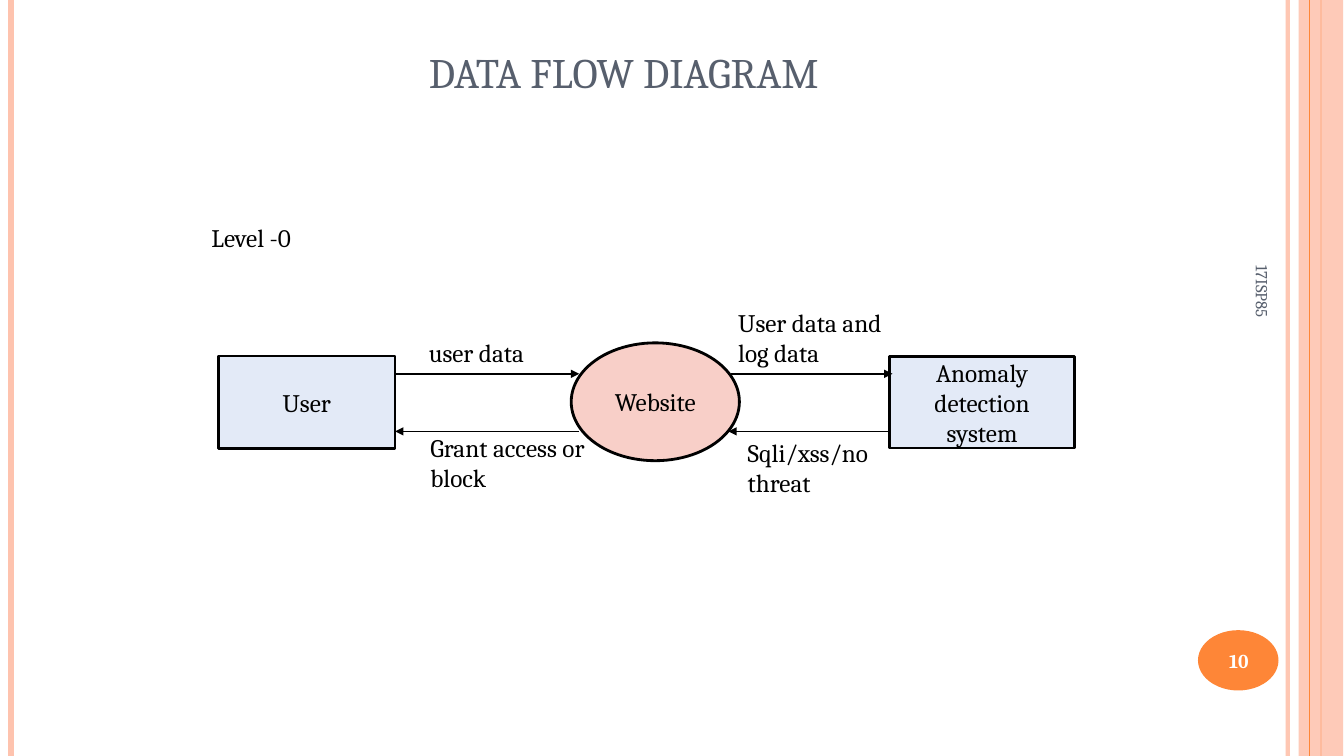
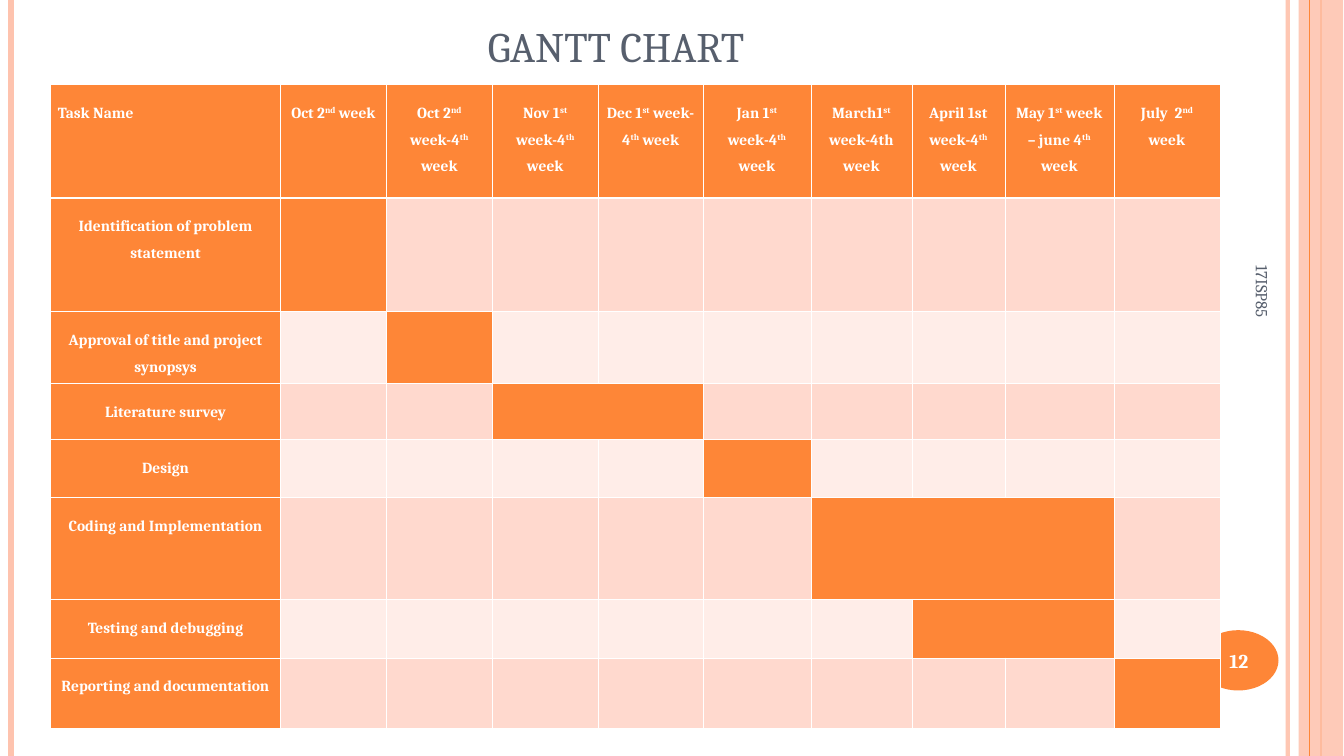
from lxml.etree import SubElement
from pptx import Presentation
from pptx.dml.color import RGBColor
from pptx.enum.shapes import MSO_CONNECTOR, MSO_SHAPE
from pptx.enum.text import MSO_ANCHOR, PP_ALIGN
from pptx.oxml import parse_xml
from pptx.oxml.ns import nsdecls, qn
from pptx.util import Cm, Pt

LINE = MSO_CONNECTOR.STRAIGHT
RECT, OVAL = MSO_SHAPE.RECTANGLE, MSO_SHAPE.OVAL
TOP, MID, LOW = MSO_ANCHOR.TOP, MSO_ANCHOR.MIDDLE, MSO_ANCHOR.BOTTOM
LEFT, MIDST = PP_ALIGN.LEFT, PP_ALIGN.CENTER


class Theme:
    font = "Cambria"
    slate = RGBColor.from_string("575F6D")
    black = RGBColor.from_string("000000")
    white = RGBColor.from_string("FFFFFF")
    orange = RGBColor.from_string("FE8637")
    peach = RGBColor.from_string("FEC3AE")
    blue = RGBColor.from_string("E3EAF7")
    rose = RGBColor.from_string("F8CFC8")
    bands = RGBColor.from_string("FFD9CE"), RGBColor.from_string("FFEDE8")
    title, body, page, foot, cell = 30, 18, 14, 12, 11


def write(frame, text, size, color, align=LEFT, anchor=TOP, bold=False):
    frame.word_wrap = True
    frame.vertical_anchor = anchor
    para = frame.paragraphs[0]
    para.alignment = align
    parts = text.split("^")
    para.text = parts[0]
    for part in parts[1:]:
        para.add_run().text = part
    for i, run in enumerate(para.runs):
        run.font.name = Theme.font
        run.font.size = Pt(size)
        run.font.color.rgb = color
        run.font.bold = bold
        if i % 2:
            run.font._element.set("baseline", "30000")
    return para


def draw(shapes, x1, y1, x2, y2, color, width):
    line = shapes.add_connector(LINE, Cm(x1), Cm(y1), Cm(x2), Cm(y2))
    line.line.color.rgb = color
    line.line.width = Pt(width)
    SubElement(line.element.spPr, qn("a:effectLst"))
    return line.element.spPr


deck = Presentation()
deck.slide_width, deck.slide_height = Cm(33.88), Cm(19.05)

pages = []
for title, page, x, y in (
    ("DATA FLOW DIAGRAM", "10", 1.9, 0.79),
    ("GANTT CHART", "12", 1.7, 0.13),
):
    shapes = deck.slides.add_slide(deck.slide_layouts[6]).shapes
    pages.append(shapes)
    edge = draw(shapes, 32.46, 0, 32.46, 19.05, Theme.peach, 3)
    draw(shapes, 0.28, 0, 0.28, 19.05, Theme.peach, 4.5)
    draw(shapes, 33.3, 0, 33.3, 19.05, Theme.orange, 1.5)
    band = shapes.add_shape(RECT, Cm(32.74), 0, Cm(1.12), Cm(19.05))
    draw(shapes, 33.02, 0, 33.02, 19.05, Theme.orange, 0.75)
    disc = shapes.add_shape(OVAL, Cm(30.2), Cm(15.88), Cm(2.03), Cm(1.52))
    for shape, color in ((band, Theme.peach), (disc, Theme.orange)):
        shape.shadow.inherit = False
        shape.fill.solid()
        shape.fill.fore_color.rgb = color
        shape.line.fill.background()
    for part, alpha in ((edge, "93000"), (band.element.spPr, "87000")):
        tint = part.find(".//" + qn("a:srgbClr"))
        SubElement(tint, qn("a:alpha")).set("val", alpha)
    head = shapes.add_textbox(Cm(x), Cm(y), Cm(27.66), Cm(1.78))
    write(head.text_frame, title, Theme.title, Theme.slate, MIDST, LOW)
    num = shapes.add_textbox(Cm(30.1), Cm(15.93), Cm(2.26), Cm(1.45))
    write(num.text_frame, page, Theme.page, Theme.white, MIDST, MID, True)
    foot = shapes.add_textbox(Cm(27.38), Cm(10.21), Cm(8.89), Cm(1.35))
    foot.rotation = 90
    write(foot.text_frame, "17ISP85", Theme.foot, Theme.slate, LEFT, MID)

flow, gantt = pages

for form, text, x, y, w, h, color in (
    (RECT, "User", 5.51, 8.97, 4.45, 2.34, Theme.blue),
    (OVAL, "Website", 14.4, 8.64, 4.24, 2.97, Theme.rose),
    (RECT, "Anomaly detection system", 22.43, 8.98, 4.65, 2.31, Theme.blue),
):
    node = flow.add_shape(form, Cm(x), Cm(y), Cm(w), Cm(h))
    node.shadow.inherit = False
    node.fill.solid()
    node.fill.fore_color.rgb = color
    node.line.color.rgb = Theme.black
    node.line.width = Pt(2)
    write(node.text_frame, text, Theme.body, Theme.black, MIDST, MID)

for start, end, y in (
    (9.96, 14.6, 9.42),
    (14.6, 9.96, 10.87),
    (18.42, 22.5, 9.42),
    (22.43, 18.36, 10.87),
):
    arrow = draw(flow, start, y, end, y, Theme.black, 1)
    SubElement(arrow.find(qn("a:ln")), qn("a:tailEnd")).set("type", "triangle")

for text, x, y, w, h in (
    ("Level -0", 5.08, 5.49, 16.94, 1.02),
    ("user data", 10.56, 8.38, 3.8, 1.02),
    ("Grant access or block", 10.6, 10.77, 4.45, 1.78),
    ("User data and log data", 18.36, 7.62, 4.45, 1.78),
    ("Sqli/xss/no threat", 18.6, 10.9, 3.86, 1.78),
):
    label = flow.add_textbox(Cm(x), Cm(y), Cm(w), Cm(h))
    write(label.text_frame, text, Theme.body, Theme.black)

heads = (
    "Task Name", "Oct 2^nd^ week", "Oct 2^nd^ week-4^th^ week",
    "Nov 1^st^ week-4^th^ week", "Dec 1^st^ week- 4^th^ week",
    "Jan 1^st^ week-4^th^ week", "March1^st^ week-4th week",
    "April 1st week-4^th^ week", "May 1^st^ week – june 4^th^ week",
    "July  2^nd^ week",
)
tasks = (
    ("Identification of problem statement", 1, 1),
    ("Approval of title and project synopsys", 2, 2),
    ("Literature survey", 3, 4),
    ("Design", 5, 5),
    ("Coding and Implementation", 6, 8),
    ("Testing and debugging", 7, 8),
    ("Reporting and documentation", 9, 9),
)
wide = 5.79, 2.67, 2.67, 2.67, 2.64, 2.72, 2.55, 2.34, 2.75, 2.67
high = 2.86, 2.86, 1.76, 1.42, 1.45, 2.57, 1.48, 1.77
frame = gantt.add_table(
    len(high), len(wide), Cm(1.28), Cm(2.13), Cm(sum(wide)), Cm(sum(high))
)
table = frame.table
for col, size in zip(table.columns, wide):
    col.width = Cm(size)
for row, size in zip(table.rows, high):
    row.height = Cm(size)

for r in range(len(high)):
    for c in range(len(wide)):
        cell = table.cell(r, c)
        cell.margin_left = cell.margin_right = Cm(0.18)
        cell.margin_top, cell.margin_bottom = Cm(0.28), Cm(0.13)
        busy = r == 0 or c == 0 or tasks[r - 1][1] <= c <= tasks[r - 1][2]
        cell.fill.solid()
        cell.fill.fore_color.rgb = Theme.orange if busy else Theme.bands[(r - 1) % 2]
        for i, side in enumerate(("lnL", "lnR", "lnT", "lnB")):
            thick = (r, side) in ((0, "lnB"), (1, "lnT"))
            rule = parse_xml(
                f'<a:{side} {nsdecls("a")} w="{Pt(1.47 if thick else 0.45)}">'
                f'<a:solidFill><a:srgbClr val="{Theme.white}"/></a:solidFill></a:{side}>'
            )
            cell._tc.get_or_add_tcPr().insert(i, rule)
        if r == 0 or c == 0:
            text = heads[c] if r == 0 else tasks[r - 1][0]
            align = LEFT if r == c else MIDST
            para = write(cell.text_frame, text, Theme.cell, Theme.white, align, TOP, True)
            para.line_spacing = 1.5

for r, (task, start, end) in enumerate(tasks, 1):
    if end > start:
        table.cell(r, start).merge(table.cell(r, end))

deck.save("out.pptx")
